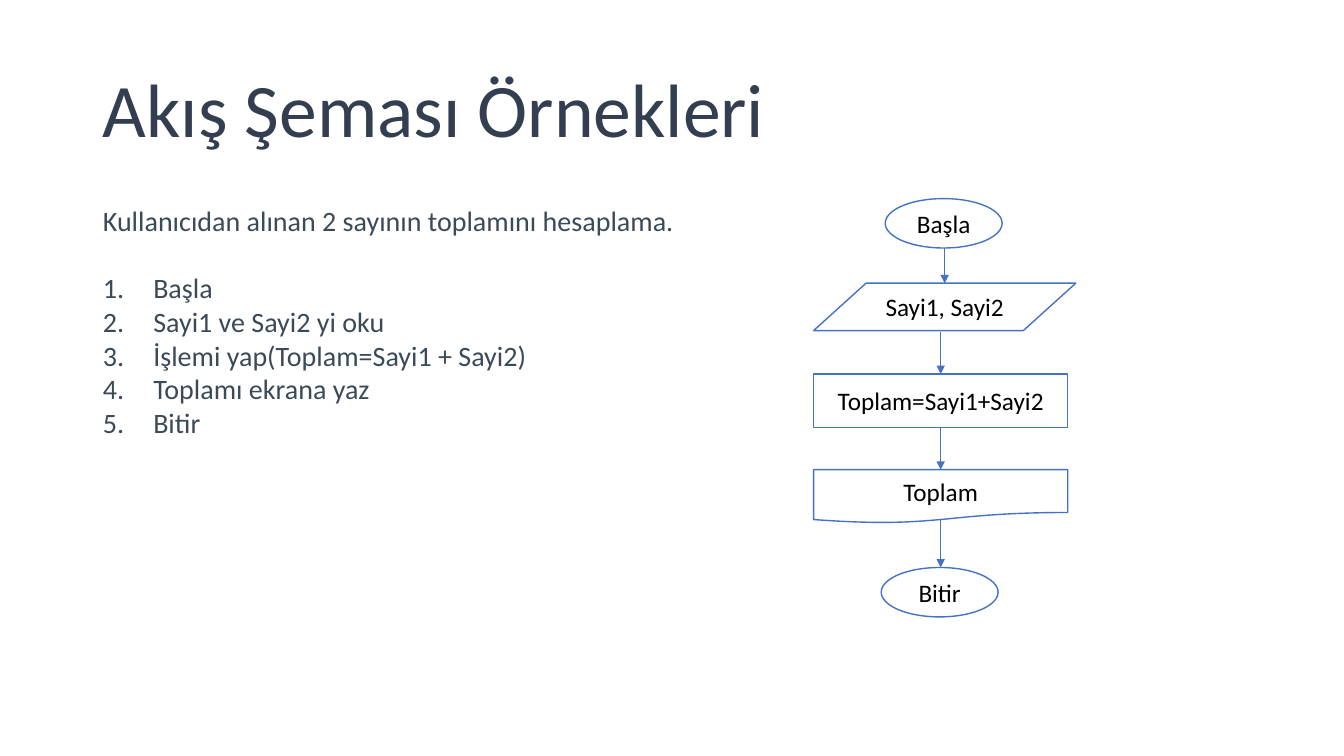
from lxml.etree import SubElement
from pptx import Presentation
from pptx.dml.color import RGBColor
from pptx.enum.shapes import MSO_CONNECTOR as Line, MSO_SHAPE as Shape
from pptx.enum.text import MSO_ANCHOR as Anchor, MSO_AUTO_SIZE as Fit, PP_ALIGN as Align
from pptx.oxml.ns import qn
from pptx.util import Inches, Pt


def color(hex_code):
    return RGBColor.from_string(hex_code)


def write(para, text, size=18, ink="000000", align=Align.CENTER, spacing=1.0, after=0):
    para.alignment = align
    para.line_spacing = spacing
    para.space_before = Pt(0)
    para.space_after = Pt(after)
    span = para.add_run()
    span.text = text
    span.font.name = "Calibri"
    span.font.size = Pt(size)
    span.font.color.rgb = color(ink)


deck = Presentation()
deck.slide_width, deck.slide_height = Inches(13.33), Inches(7.5)
page = deck.slides.add_slide(deck.slide_layouts[1])
title, body = page.placeholders

title.left, title.top = Inches(0.92), Inches(0.4)
title.width, title.height = Inches(11.5), Inches(1.45)
title.text_frame.auto_size = Fit.NONE
title.text_frame.vertical_anchor = Anchor.MIDDLE
write(title.text_frame.paragraphs[0], "Akış Şeması Örnekleri",
      size=54, ink="333F50", align=Align.LEFT, spacing=0.9)

body.left, body.top = Inches(0.92), Inches(1.97)
body.width, body.height = Inches(6.06), Inches(2.79)
body.text_frame.auto_size = Fit.NONE
body.text_frame.vertical_anchor = Anchor.TOP
intro = body.text_frame.paragraphs[0]
write(intro, "Kullanıcıdan alınan 2 sayının toplamını hesaplama.",
      size=20, ink="3A4A58", align=Align.LEFT, after=24)
intro_format = intro._p.get_or_add_pPr()
intro_format.set("marL", "0")
intro_format.set("indent", "0")
SubElement(intro_format, qn("a:buNone"))

steps = ["Başla", "Sayi1 ve Sayi2 yi oku", "İşlemi yap(Toplam=Sayi1 + Sayi2)",
         "Toplamı ekrana yaz", "Bitir"]
for step in steps:
    para = body.text_frame.add_paragraph()
    write(para, step, size=20, ink="3A4A58", align=Align.LEFT)
    step_format = para._p.get_or_add_pPr()
    step_format.set("marL", str(Inches(0.5)))
    step_format.set("indent", str(-Inches(0.5)))
    SubElement(step_format, qn("a:buFont"), typeface="+mj-lt")
    SubElement(step_format, qn("a:buAutoNum"), type="arabicPeriod")

flow = [
    (Shape.OVAL, "Başla", 8.78, 1.97, 1.16, 0.49),
    (Shape.FLOWCHART_DATA, "Sayi1, Sayi2", 8.07, 2.81, 2.6, 0.47),
    (Shape.RECTANGLE, "Toplam=Sayi1+Sayi2", 8.07, 3.71, 2.52, 0.53),
    (Shape.FLOWCHART_DOCUMENT, "Toplam", 8.07, 4.66, 2.52, 0.53),
    (Shape.OVAL, "Bitir", 8.74, 5.63, 1.16, 0.49),
]
boxes = []
for kind, label, left, top, width, height in flow:
    box = page.shapes.add_shape(kind, Inches(left), Inches(top), Inches(width), Inches(height))
    box.shadow.inherit = False
    box.fill.solid()
    box.fill.fore_color.rgb = color("FFFFFF")
    box.line.color.rgb = color("4472C4")
    box.line.width = Pt(1)
    box.text_frame.word_wrap = True
    box.text_frame.vertical_anchor = Anchor.MIDDLE
    write(box.text_frame.paragraphs[0], label)
    boxes.append(box)

process = boxes[2]
arrows = [(9.37, 2.46, 2.81), (9.33, 3.29, 3.71), (9.33, 4.24, 4.66), (9.33, 5.15, 5.63)]
for (x, start, end), upper, lower in zip(arrows, boxes, boxes[1:]):
    arrow = page.shapes.add_connector(Line.STRAIGHT, Inches(x), Inches(start), Inches(x), Inches(end))
    if upper is process:
        arrow.begin_connect(upper, 2)
    if process in (upper, lower):
        arrow.end_connect(lower, 0)
    arrow.line.color.rgb = color("4472C4")
    arrow.line.width = Pt(1)
    SubElement(arrow.line._get_or_add_ln(), qn("a:tailEnd"), type="triangle")
    SubElement(arrow._element.spPr, qn("a:effectLst"))

deck.save("out.pptx")
